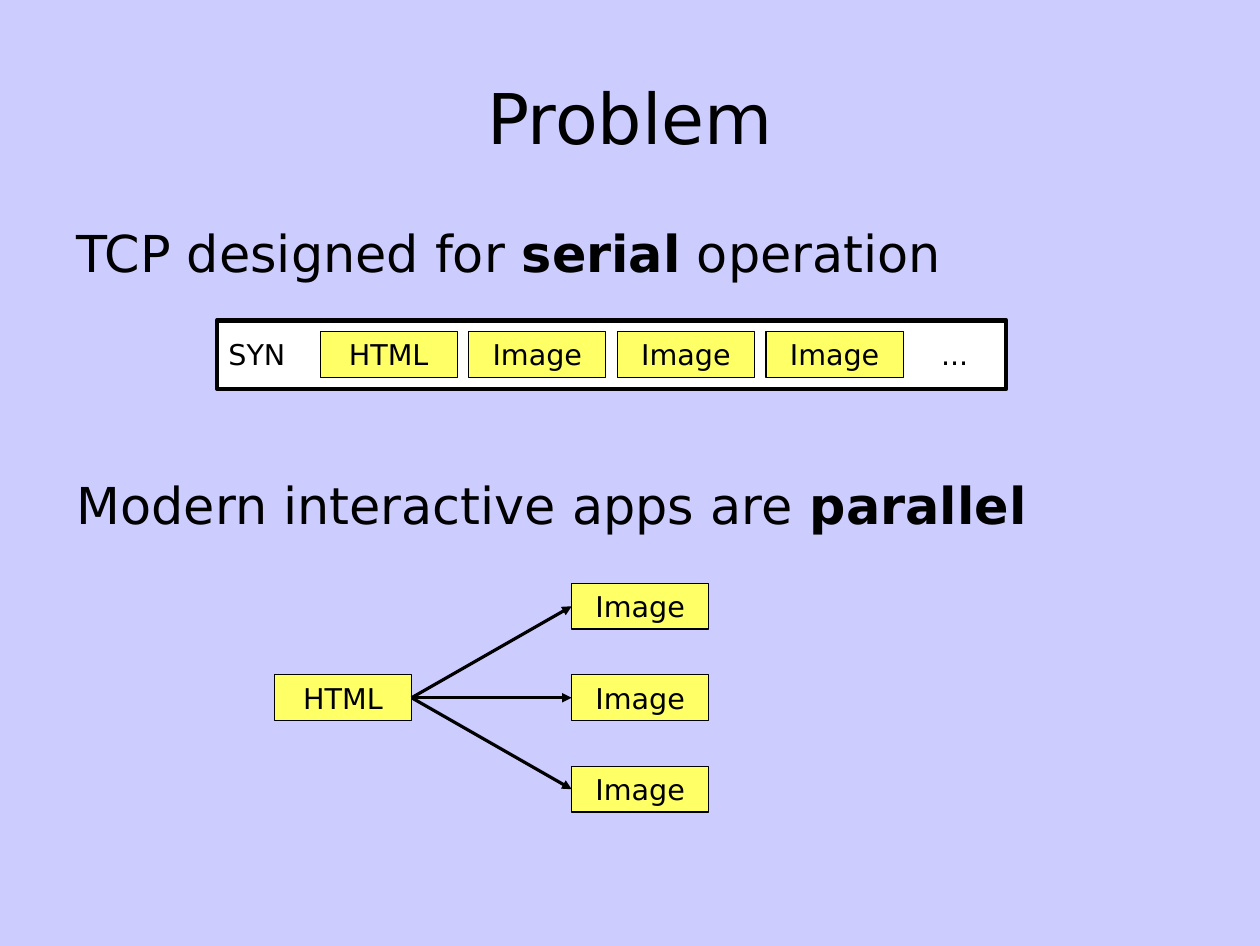
from lxml import etree
from pptx import Presentation
from pptx.dml.color import RGBColor
from pptx.enum.shapes import MSO_CONNECTOR as Connector, MSO_SHAPE as Shape
from pptx.enum.text import MSO_ANCHOR as Anchor, MSO_AUTO_SIZE as AutoSize, PP_ALIGN as Align
from pptx.oxml.ns import qn
from pptx.util import Inches, Pt

FONT = "DejaVu Sans"
BLACK, WHITE, YELLOW, LAVENDER = "000000", "FFFFFF", "FFFF66", "CCCCFF"
BOX_WIDTH, BOX_HEIGHT, BOX_STEP = 1.2, 0.4, 1.3
STREAM_LEFT, STREAM_TOP = 2.8, 2.9
TREE_TOP, TREE_STEP = 5.1, 0.8
INSETS = (0.1, 0.05, 0.1, 0.05)


def color(value):
    """Return the colour for a hex string."""
    return RGBColor.from_string(value)


def set_values(target, values):
    """Set each named attribute of the target."""
    for name, value in values.items():
        setattr(target, name, value)


def format_frame(frame, insets, anchor):
    """Set wrapping, insets and anchor of a text frame."""
    left, top, right, bottom = map(Inches, insets)
    set_values(frame, {
        "word_wrap": True, "auto_size": AutoSize.NONE, "vertical_anchor": anchor,
        "margin_left": left, "margin_top": top,
        "margin_right": right, "margin_bottom": bottom,
    })


def write_spans(para, spans, size, align):
    """Write (text, bold) spans into a paragraph."""
    set_values(para, {"alignment": align, "space_before": Pt(0)})
    for text, bold in spans:
        span = para.add_run()
        span.text = text
        set_values(span.font, {"name": FONT, "size": Pt(size), "bold": bold})
        span.font.color.rgb = color(BLACK)


def write_title(page, text):
    """Place and format the slide title."""
    title = page.shapes.title
    set_values(title, {
        "left": Inches(0.55), "top": Inches(0.38),
        "width": Inches(9.92), "height": Inches(1.28),
    })
    format_frame(title.text_frame, (0, 0, 0, 0), Anchor.MIDDLE)
    write_spans(title.text_frame.paragraphs[0], [(text, False)], 44, Align.CENTER)


def add_statements(page, statements):
    """Add the large statements, spaced to leave room for the diagrams."""
    box = page.shapes.add_textbox(Inches(0.55), Inches(1.94), Inches(9.92), Inches(5.36))
    frame = box.text_frame
    format_frame(frame, (0.12, 0, 0, 0), Anchor.TOP)
    for index, spans in enumerate(statements):
        para = frame.add_paragraph() if index else frame.paragraphs[0]
        write_spans(para, spans, 32, Align.LEFT)
        if index:
            para.space_before = Pt(120)


def add_box(page, left, top, width, height, fill, line_width):
    """Add a filled rectangle with a black outline."""
    box = page.shapes.add_shape(
        Shape.RECTANGLE, Inches(left), Inches(top), Inches(width), Inches(height))
    box.shadow.inherit = False
    box.fill.solid()
    box.fill.fore_color.rgb = color(fill)
    box.line.color.rgb = color(BLACK)
    box.line.width = Pt(line_width)
    return box


def add_item(page, text, left, top):
    """Add a yellow box for one loaded item."""
    box = add_box(page, left, top, BOX_WIDTH, BOX_HEIGHT, YELLOW, 0)
    format_frame(box.text_frame, INSETS, Anchor.MIDDLE)
    write_spans(box.text_frame.paragraphs[0], [(text, False)], 18, Align.CENTER)
    return box


def add_label(page, text, left, align):
    """Add a plain label to the stream."""
    label = page.shapes.add_textbox(
        Inches(left), Inches(STREAM_TOP), Inches(0.9), Inches(BOX_HEIGHT))
    format_frame(label.text_frame, INSETS, Anchor.TOP)
    write_spans(label.text_frame.paragraphs[0], [(text, False)], 18, align)


def add_arrow(page, source, target):
    """Join the right side of the source to the left side of the target."""
    arrow = page.shapes.add_connector(Connector.STRAIGHT, 0, 0, 0, 0)
    arrow.begin_connect(source, 3)
    arrow.end_connect(target, 1)
    arrow.line.color.rgb = color(BLACK)
    arrow.line.width = Pt(0)
    outline = arrow.line._get_or_add_ln()
    etree.SubElement(outline, qn("a:tailEnd"), type="triangle")
    etree.SubElement(arrow._element.spPr, qn("a:effectLst"))


def add_stream(page):
    """Draw the serial stream."""
    add_box(page, 1.9, 2.8, 6.9, 0.6, WHITE, 2.89)
    add_label(page, "SYN", 1.9, Align.LEFT)
    for index, text in enumerate(["HTML"] + ["Image"] * 3):
        add_item(page, text, STREAM_LEFT + index * BOX_STEP, STREAM_TOP)
    add_label(page, "...", 7.9, Align.CENTER)


def add_tree(page):
    """Draw the page that loads three images in parallel."""
    source = add_item(page, "HTML", 2.4, TREE_TOP + TREE_STEP)
    for index in range(3):
        target = add_item(page, "Image", 5, TREE_TOP + index * TREE_STEP)
        add_arrow(page, source, target)


def main():
    """Build and save the slide."""
    deck = Presentation()
    set_values(deck, {"slide_width": Inches(11.02), "slide_height": Inches(8.27)})
    page = deck.slides.add_slide(deck.slide_layouts[5])
    page.background.fill.solid()
    page.background.fill.fore_color.rgb = color(LAVENDER)
    write_title(page, "Problem")
    add_statements(page, [
        [("TCP designed for ", False), ("serial", True), (" operation", False)],
        [("Modern interactive apps are ", False), ("parallel", True)],
    ])
    add_stream(page)
    add_tree(page)
    deck.save("out.pptx")


if __name__ == "__main__":
    main()
